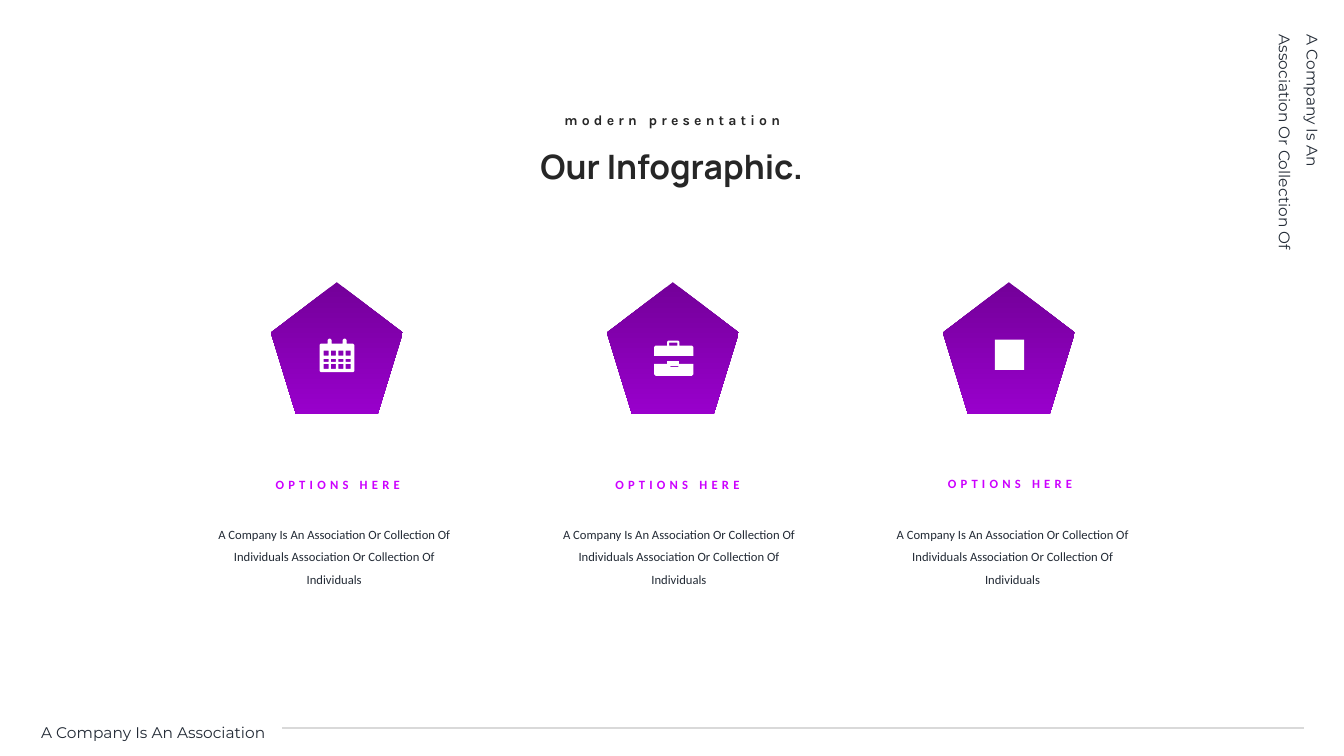
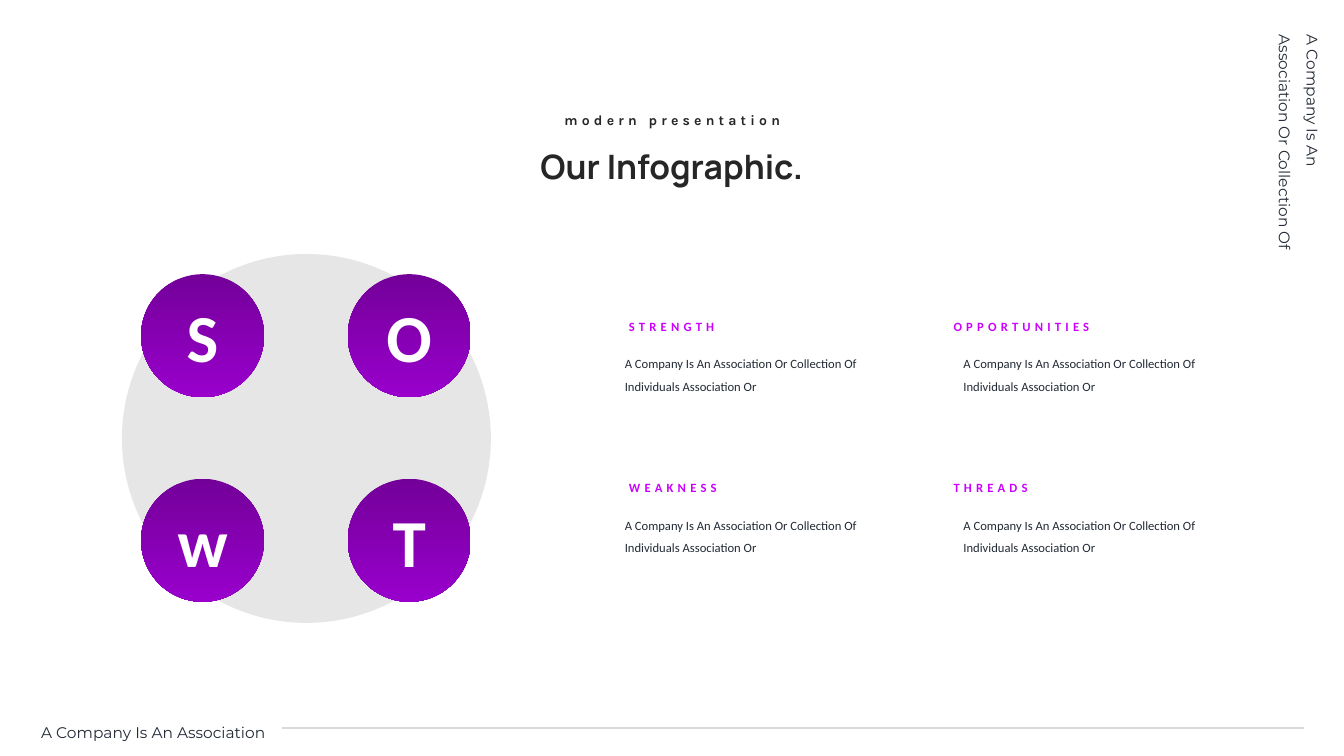
from dataclasses import dataclass

from lxml.etree import SubElement
from pptx import Presentation
from pptx.dml.color import RGBColor
from pptx.enum.shapes import MSO_CONNECTOR, MSO_SHAPE
from pptx.enum.text import MSO_ANCHOR, MSO_AUTO_SIZE, PP_ALIGN
from pptx.oxml.ns import qn
from pptx.util import Inches, Pt


@dataclass(frozen=True)
class TextStyle:
    font: str
    size: int
    colour: str
    bold: bool = False
    tracking: int = 0
    align: PP_ALIGN = PP_ALIGN.LEFT
    line_spacing: float = 1.0
    inset: bool = True
    anchor: MSO_ANCHOR = MSO_ANCHOR.TOP


class Theme:
    dark, ink, accent = "262626", "222A35", "CC00FF"
    white, disc, rule = "FFFFFF", "E7E6E6", "D9D9D9"
    gradient = ("730099", "9900CC")
    rule_width = 1.5

    title = TextStyle("Manrope", 24, dark, True, align=PP_ALIGN.CENTER)
    kicker = TextStyle("Karla", 10, dark, True, 3, PP_ALIGN.CENTER)
    margin = TextStyle("Montserrat", 11, ink, line_spacing=1.5)
    body = TextStyle("Calibri", 9, ink, line_spacing=1.5)
    body_centred = TextStyle("Calibri", 9, ink, align=PP_ALIGN.CENTER, line_spacing=1.5)
    label = TextStyle("Calibri", 9, accent, True, 3, inset=False, anchor=MSO_ANCHOR.MIDDLE)
    label_centred = TextStyle("Calibri", 9, accent, True, 3, PP_ALIGN.CENTER,
                              inset=False, anchor=MSO_ANCHOR.MIDDLE)
    letter = TextStyle("Calibri", 48, white, True, align=PP_ALIGN.CENTER,
                       inset=False, anchor=MSO_ANCHOR.MIDDLE)


def rectangle(left, top, right, bottom):
    return [(left, top), (right, top), (right, bottom), (left, bottom)]


class Deck:
    """Holds the theme and the current page; places are in columns and rows."""

    COLUMNS, ROWS = 40, 30
    ICON_UNITS = 100  # icon units in one column

    def __init__(self, theme):
        self.theme = theme
        self.deck = Presentation()
        self.deck.slide_width = Inches(13.33)
        self.deck.slide_height = Inches(7.5)
        self.column = self.deck.slide_width / self.COLUMNS
        self.row = self.deck.slide_height / self.ROWS
        self.page = None

    def place(self, left, top, *size):
        lengths = [left * self.column, top * self.row]
        if size:
            lengths += [size[0] * self.column, size[1] * self.row]
        return [round(length) for length in lengths]

    def new_page(self, title, kicker, footer, side_note):
        self.page = self.deck.slides.add_slide(self.deck.slide_layouts[5])
        heading = self.page.shapes.title
        heading.left, heading.top, heading.width, heading.height = self.place(11.79, 5.6, 16.41, 2)
        self.set_text(heading, title, self.theme.title)
        self.text(kicker, (16.11, 4.24, 7.8, 1.08), self.theme.kicker)
        self.text(footer, (0.93, 28.12, 13.08, 1.4), self.theme.margin)
        self.text(side_note, (35.22, 4.56, 7.23, 2.48), self.theme.margin).rotation = 90
        self.line((8.4, 28.88), (38.82, 28.88))

    def set_text(self, shape, text, style):
        frame = shape.text_frame
        frame.word_wrap = True
        frame.vertical_anchor = style.anchor
        if not style.inset:
            frame.margin_left = frame.margin_right = 0
            frame.margin_top = frame.margin_bottom = 0
        para = frame.paragraphs[0]
        para.alignment = style.align
        para.line_spacing = style.line_spacing
        para.space_before = Pt(0)
        span = para.add_run()
        span.text = text
        span.font.name = style.font
        span.font.size = Pt(style.size)
        span.font.bold = style.bold
        span.font.color.rgb = RGBColor.from_string(style.colour)
        if style.tracking:
            span._r.get_or_add_rPr().set("spc", str(style.tracking * 100))

    def text(self, text, area, style):
        box = self.page.shapes.add_textbox(*self.place(*area))
        self.set_text(box, text, style)
        box.text_frame.auto_size = MSO_AUTO_SIZE.SHAPE_TO_FIT_TEXT
        return box

    def paint(self, shape, colour):
        """Fill with one colour, or with a downward gradient when given a pair."""
        shape.shadow.inherit = False
        shape.line.fill.background()
        if isinstance(colour, str):
            shape.fill.solid()
            shape.fill.fore_color.rgb = RGBColor.from_string(colour)
            return
        shape.fill.gradient()
        shape.fill.gradient_angle = 270
        for position, (stop, tone) in enumerate(zip(shape.fill.gradient_stops, colour)):
            stop.position = position
            stop.color.rgb = RGBColor.from_string(tone)

    def shape(self, kind, area, colour):
        shape = self.page.shapes.add_shape(kind, *self.place(*area))
        self.paint(shape, colour)
        return shape

    def icon(self, origin, contours):
        """Draw one white outline; contours after the first are holes in it."""
        first, *holes = contours
        builder = self.page.shapes.build_freeform(*first[0], scale=self.column / self.ICON_UNITS)
        builder.add_line_segments(first[1:], close=True)
        for hole in holes:
            builder.move_to(*hole[0])
            builder.add_line_segments(hole[1:], close=True)
        self.paint(builder.convert_to_shape(*self.place(*origin)), self.theme.white)

    def line(self, start, end):
        line = self.page.shapes.add_connector(
            MSO_CONNECTOR.STRAIGHT, *self.place(*start), *self.place(*end))
        line.line.color.rgb = RGBColor.from_string(self.theme.rule)
        line.line.width = Pt(self.theme.rule_width)
        SubElement(line._element.spPr, qn("a:effectLst"))

    def calendar(self, left, top):
        rings = [point for x in (24, 69) for point in
                 [(x, 15), (x, 4), (x + 4, 0), (x + 8, 0), (x + 12, 4), (x + 12, 15)]]
        outline = [(0, 19), (4, 15), *rings, (100, 15), (104, 19),
                   (104, 96), (100, 100), (4, 100), (0, 96)]
        days = [rectangle(x, upper, x + 15, lower)
                for upper, lower in ((36, 51), (60, 69), (75, 90))
                for x in range(12, 80, 22)]
        self.icon((left, top), [outline, *days])

    def briefcase(self, left, top):
        lid = [(0, 19), (4, 15), (39, 15), (39, 3), (42, 0), (72, 0), (75, 3),
               (75, 15), (113, 15), (117, 19), (117, 45), (0, 45)]
        base = [(0, 69), (48, 69), (48, 78), (72, 78), (72, 69), (117, 69),
                (117, 100), (112, 105), (5, 105), (0, 100)]
        self.icon((left, top), [lid, rectangle(45, 6, 69, 15)])
        self.icon((left, top), [base])
        self.icon((left, top), [rectangle(39, 60, 75, 75)])

    def tile(self, left, top):
        self.shape(MSO_SHAPE.RECTANGLE, (left, top, 0.87, 1.2), self.theme.white)


def add_options(deck):
    theme = deck.theme
    description = ("A Company Is An Association Or Collection Of Individuals "
                   "Association Or Collection Of Individuals")
    # icon, icon place, label place, description column
    options = [
        (deck.calendar, (9.51, 13.44), (7.44, 18.92), 6.06),
        (deck.briefcase, (19.47, 13.52), (17.55, 18.92), 16.32),
        (deck.tile, (29.61, 13.48), (27.45, 18.88), 26.25),
    ]
    for index, (draw_icon, icon_place, label_place, body_left) in enumerate(options):
        deck.shape(MSO_SHAPE.REGULAR_PENTAGON, (8.06 + 10 * index, 11.2, 3.93, 5.24),
                   theme.gradient)
        draw_icon(*icon_place)
        deck.text("OPTIONS HERE", (*label_place, 5.22, 0.6), theme.label_centred)
        deck.text(description, (body_left, 20.4, 7.77, 3.12), theme.body_centred)


def add_swot(deck):
    theme = deck.theme
    description = "A Company Is An Association Or Collection Of Individuals Association Or"
    deck.shape(MSO_SHAPE.OVAL, (3.63, 10.08, 10.98, 14.64), theme.disc)
    quadrants = [("S", "STRENGTH"), ("O", "OPPORTUNITIES"),
                 ("w", "WEAKNESS"), ("T", "THREADS")]
    label_columns, body_columns = (18.72, 28.38), (18.3, 28.38)
    for index, (letter, label) in enumerate(quadrants):
        row, column = divmod(index, 2)
        circle = deck.shape(MSO_SHAPE.OVAL,
                            (4.2 + 6.15 * column, 10.88 + 8.12 * row, 3.66, 4.88),
                            theme.gradient)
        deck.set_text(circle, letter, theme.letter)
        drop = 6.4 * row
        deck.text(label, (label_columns[column], 12.64 + drop, 5.22, 0.6), theme.label)
        deck.text(description, (body_columns[column], 13.64 + drop, 8.19, 2.24), theme.body)


def main():
    deck = Deck(Theme())
    for add_content in (add_options, add_swot):
        deck.new_page("Our Infographic.", "modern presentation",
                      "A Company Is An Association",
                      "A Company Is An Association Or Collection Of")
        add_content(deck)
    deck.deck.save("out.pptx")


if __name__ == "__main__":
    main()
